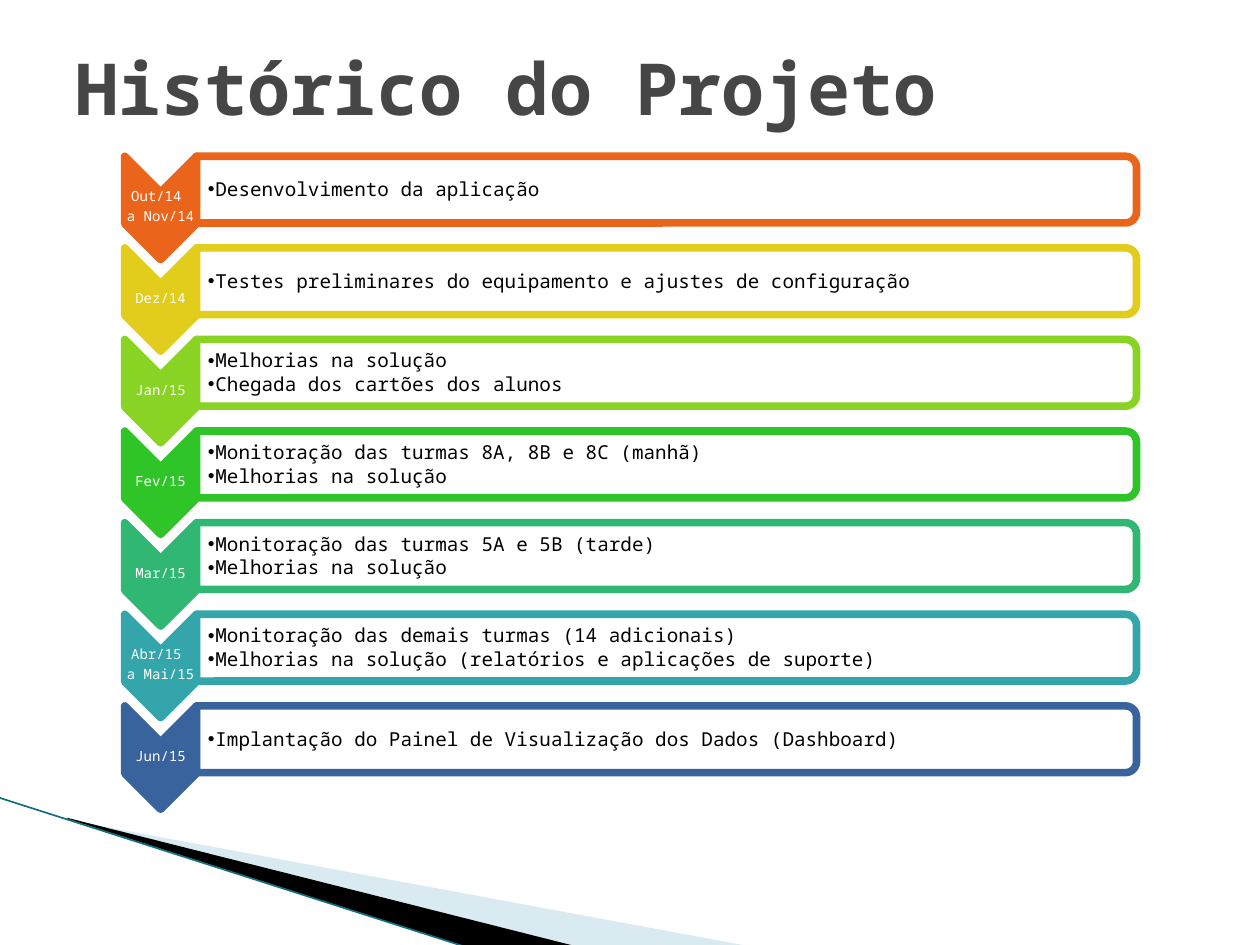
"""Build the project history slide: a chevron list of dated steps."""
import pptx
import pptx.util
from pptx.dml.color import RGBColor
from pptx.enum.shapes import MSO_CONNECTOR, MSO_SHAPE
from pptx.enum.text import MSO_ANCHOR, PP_ALIGN
from pptx.oxml.ns import qn
from pptx.oxml.xmlchemy import OxmlElement

Inches, Pt = pptx.util.Inches, pptx.util.Pt
FONT = "Noto Sans Mono"
WHITE = RGBColor(0xFF, 0xFF, 0xFF)
BLACK = RGBColor(0x00, 0x00, 0x00)
GREY = RGBColor(0x46, 0x46, 0x46)
PALE = RGBColor(0xA0, 0xCB, 0xDC)
DEEP = RGBColor(0x14, 0x6E, 0x82)
ORANGE = RGBColor(0xEB, 0x64, 0x1B)
YELLOW = RGBColor(0xE2, 0xCC, 0x1C)
LIME = RGBColor(0x88, 0xD3, 0x23)
GREEN = RGBColor(0x2F, 0xC5, 0x29)
JADE = RGBColor(0x2F, 0xB7, 0x73)
TEAL = RGBColor(0x34, 0xA5, 0xAA)
BLUE = RGBColor(0x39, 0x63, 0x9D)

TOP, END = 1.24, 6.33
LEFT, EDGE, RIGHT = 0.99, 1.56, 9.02
STEPS = [
    (ORANGE, ["Out/14 ", "a Nov/14"], ["Desenvolvimento da aplicação"]),
    (YELLOW, ["Dez/14"],
     ["Testes preliminares do equipamento e ajustes de configuração"]),
    (LIME, ["Jan/15"],
     ["Melhorias na solução", "Chegada dos cartões dos alunos"]),
    (GREEN, ["Fev/15"],
     ["Monitoração das turmas 8A, 8B e 8C (manhã)", "Melhorias na solução"]),
    (JADE, ["Mar/15"],
     ["Monitoração das turmas 5A e 5B (tarde)", "Melhorias na solução"]),
    (TEAL, ["Abr/15 ", "a Mai/15"],
     ["Monitoração das demais turmas (14 adicionais)",
      "Melhorias na solução (relatórios e aplicações de suporte)"]),
    (BLUE, ["Jun/15"],
     ["Implantação do Painel de Visualização dos Dados (Dashboard)"]),
]
PITCH = (END - TOP) / len(STEPS)


def node(tag, **attrs):
    """Make an XML element with attributes."""
    item = OxmlElement(tag)
    for name, value in attrs.items():
        item.set(name, value)
    return item


def write(frame, lines, size, color, bold=False, align=PP_ALIGN.LEFT,
          anchor=MSO_ANCHOR.MIDDLE, pads=(0.01, 0.01, 0.01, 0.01),
          gap=0, space=0.9, bullet=False):
    """Fill a text frame with formatted paragraphs."""
    frame.word_wrap = True
    frame.vertical_anchor = anchor
    (frame.margin_left, frame.margin_top,
     frame.margin_right, frame.margin_bottom) = map(Inches, pads)
    for num, line in enumerate(lines):
        para = frame.add_paragraph() if num else frame.paragraphs[0]
        para.alignment, para.line_spacing = align, space
        para.space_before, para.space_after = Pt(0), Pt(gap * size)
        run = para.add_run()
        run.text = line
        font = run.font
        font.name, font.size, font.bold = FONT, Pt(size), bold
        font.color.rgb = color
        if bullet:
            para.level = 1
            props = para._p.get_or_add_pPr()
            props.set("marL", str(Inches(0.06)))
            props.set("indent", str(-Inches(0.06)))
            props.append(node("a:buFont", typeface="Arial"))
            props.append(node("a:buChar", char="•"))


def paint(shape, fill, line=None, alpha=None):
    """Set the fill, its opacity in percent, and the outline."""
    shape.shadow.inherit = False
    shape.fill.solid()
    shape.fill.fore_color.rgb = fill
    if alpha:
        tint = shape._element.spPr.find(".//" + qn("a:srgbClr"))
        tint.append(node("a:alpha", val=str(alpha * 1000)))
    if line:
        shape.line.color.rgb = line
        shape.line.width = Pt(4.33)
    else:
        shape.line.fill.background()


def turn(shapes, kind, left, top, width, height):
    """Add a preset turned by 90 degrees that covers the given area."""
    x, y = left + (width - height) / 2, top + (height - width) / 2
    shape = shapes.add_shape(kind, *map(Inches, (x, y, height, width)))
    shape.rotation = 90
    return shape


def label(shapes, area, lines, **style):
    """Add a text box over an area."""
    write(shapes.add_textbox(*map(Inches, area)).text_frame, lines, **style)


def step(shapes, row, color, dates, tasks):
    """Draw one row: chevron with its date, and bar with its tasks."""
    top = TOP + row * PITCH
    width = EDGE - LEFT
    mark = turn(shapes, MSO_SHAPE.CHEVRON, LEFT, top, width, 0.82)
    paint(mark, color, line=color)
    label(shapes, (LEFT, top + 0.28, width, 0.25), dates, size=8,
          color=WHITE, align=PP_ALIGN.CENTER, gap=0.35)
    bar = turn(shapes, MSO_SHAPE.ROUND_2_SAME_RECTANGLE,
               EDGE, top, RIGHT - EDGE, 0.53)
    paint(bar, WHITE, line=color, alpha=90)
    label(shapes, (EDGE, top + 0.03, RIGHT - EDGE - 0.03, 0.48), tasks,
          size=11, color=BLACK, pads=(0.09, 0.01, 0.01, 0.01),
          gap=0.15, bullet=True)


def wedge(shapes, points, fill, alpha=None):
    """Draw a filled outline through points in inches."""
    first, *rest = [tuple(map(Inches, point)) for point in points]
    pen = shapes.build_freeform(*first)
    pen.add_line_segments(rest, close=True)
    paint(pen.convert_to_shape(), fill, alpha=alpha)


def decor(shapes):
    """Draw the wedges and the thin line at the foot."""
    wedge(shapes, [(0.55, 6.51), (5.95, 7.51), (4.56, 7.51), (0.55, 6.5)],
          PALE, alpha=40)
    wedge(shapes, [(0.53, 6.49), (4.57, 7.51), (3.72, 7.52), (0.54, 6.5)],
          BLACK)
    ends = map(Inches, (-0.01, 6.33, 3.71, 7.52))
    line = shapes.add_connector(MSO_CONNECTOR.STRAIGHT, *ends)
    line.line.color.rgb = DEEP
    line.line.width = Pt(0.95)
    line._element.spPr.append(node("a:effectLst"))


def main():
    """Build and save the slide."""
    deck = pptx.Presentation()
    deck.slide_width, deck.slide_height = Inches(10), Inches(7.5)
    slide = deck.slides.add_slide(deck.slide_layouts[5])
    decor(slide.shapes)
    title = slide.shapes.title
    title.left, title.top, title.width, title.height = map(
        Inches, (0.5, 0.3, 9, 1.25))
    write(title.text_frame, ["Histórico do Projeto"], size=41, color=GREY,
          bold=True, anchor=MSO_ANCHOR.TOP, space=1,
          pads=(0.1, 0.05, 0.1, 0.05))
    group = slide.shapes.add_group_shape()
    for row, (color, dates, tasks) in enumerate(STEPS):
        step(group.shapes, row, color, dates, tasks)
    deck.save("out.pptx")


if __name__ == "__main__":
    main()
